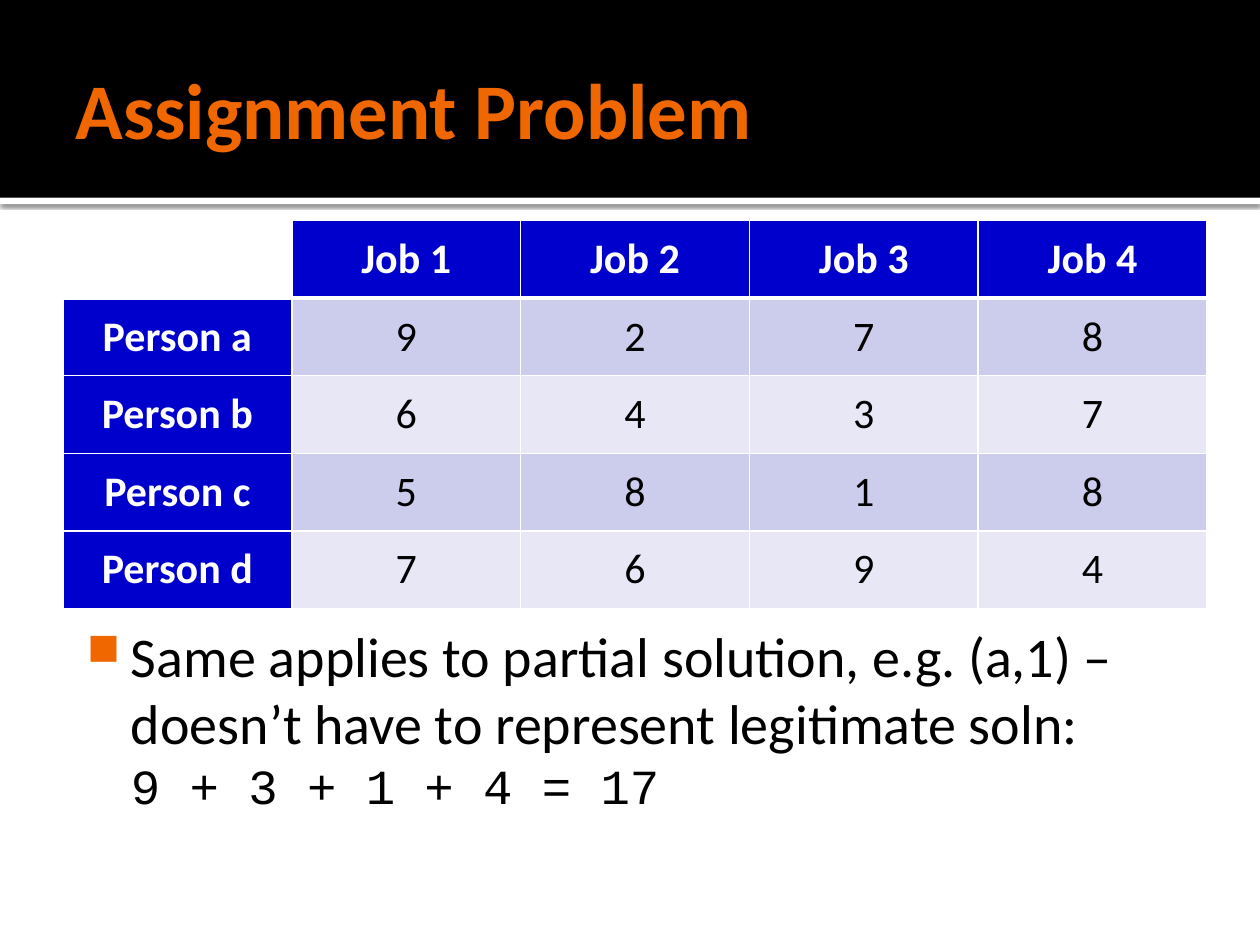
"""Build the Assignment Problem slide with its cost table."""
from lxml.etree import SubElement
from pptx import Presentation
from pptx.dml.color import RGBColor
from pptx.enum.shapes import MSO_SHAPE
from pptx.enum.text import MSO_ANCHOR, PP_ALIGN
from pptx.oxml import parse_xml
from pptx.oxml.ns import nsdecls, qn
from pptx.util import Inches, Pt

COLORS = {
    "black": "000000", "white": "FFFFFF", "orange": "F06700",
    "blue": "0000CC", "dark band": "CCCCEC", "light band": "E7E7F6",
}
COSTS = [
    ["", "Job 1", "Job 2", "Job 3", "Job 4"],
    ["Person a", 9, 2, 7, 8],
    ["Person b", 6, 4, 3, 7],
    ["Person c", 5, 8, 1, 8],
    ["Person d", 7, 6, 9, 4],
]


def style_font(font, color, **values):
    font.color.rgb = RGBColor.from_string(COLORS[color])
    for name, value in values.items():
        setattr(font, name, value)


def add_text_box(page, bounds, margins, anchor):
    frame = page.shapes.add_textbox(*map(Inches, bounds)).text_frame
    frame.word_wrap = True
    frame.vertical_anchor = anchor
    for side, margin in zip(("left", "top", "right", "bottom"), margins):
        setattr(frame, f"margin_{side}", Inches(margin))
    return frame.paragraphs[0]


deck = Presentation()
deck.slide_width, deck.slide_height = Inches(10), Inches(7.5)
page = deck.slides.add_slide(deck.slide_layouts[6])

for top, height, color in [(1.57, 0.05, "white"), (0, 1.57, "black")]:
    band = page.shapes.add_shape(
        MSO_SHAPE.RECTANGLE, 0, Inches(top), Inches(10), Inches(height))
    band.fill.solid()
    band.fill.fore_color.rgb = RGBColor.from_string(COLORS[color])
    band.line.fill.background()
    band.shadow.inherit = False
    if color == "white":
        effects = band.element.spPr.find(qn("a:effectLst"))
        effects.append(parse_xml(
            f'<a:outerShdw {nsdecls("a")} blurRad="{Pt(2.5)}" dist="{Pt(0.8)}" '
            'dir="5400000" algn="tl" rotWithShape="0"><a:srgbClr val="000000">'
            '<a:alpha val="60000"/></a:srgbClr></a:outerShdw>'))

para = add_text_box(page, (0.5, 0.17, 9, 1.37), (0.1, 0.05, 0.05, 0.05),
                    MSO_ANCHOR.MIDDLE)
span = para.add_run()
span.text = "Assignment Problem"
style_font(span.font, "orange", name="Calibri", size=Pt(45), bold=True)

para = add_text_box(page, (0.5, 4.83, 9, 2.5), (0.06, 0.1, 0.1, 0.05),
                    MSO_ANCHOR.TOP)
settings = para._p.get_or_add_pPr()
settings.set("marL", str(Inches(0.48)))
settings.set("indent", str(Inches(-0.35)))
bullet_color = SubElement(settings, qn("a:buClr"))
SubElement(bullet_color, qn("a:srgbClr"), val=COLORS["orange"])
SubElement(settings, qn("a:buSzPct"), val="80000")
SubElement(settings, qn("a:buChar"), char="■")
span = para.add_run()
span.text = ("Same applies to partial solution, e.g. (a,1) – "
             "doesn’t have to represent legitimate soln:")
style_font(span.font, "black", name="Calibri", size=Pt(32))
para.add_line_break()
span = para.add_run()
span.text = "9 + 3 + 1 + 4 = 17"
style_font(span.font, "black", name="Courier New", size=Pt(28))

table_shape = page.shapes.add_table(
    5, 5, Inches(0.5), Inches(1.75), Inches(9.08), Inches(3.08))
table = table_shape.table
for column in table.columns:
    column.width = Inches(9.08 / 5)
for row in table.rows:
    row.height = Inches(3.08 / 5)

for row_index, values in enumerate(COSTS):
    for column_index, value in enumerate(values):
        cell = table.cell(row_index, column_index)
        heading = row_index == 0 or column_index == 0
        for side in "LRTB":
            thick = (row_index, side) in [(0, "B"), (1, "T")]
            border = SubElement(cell._tc.get_or_add_tcPr(), qn(f"a:ln{side}"),
                                w=str(Pt(3 if thick else 1)))
            paint = SubElement(border, qn("a:solidFill"))
            SubElement(paint, qn("a:srgbClr"), val=COLORS["white"])
        cell.vertical_anchor = MSO_ANCHOR.MIDDLE
        if value == "":
            cell.fill.background()
            continue
        band_color = "dark band" if row_index % 2 else "light band"
        cell.fill.solid()
        cell.fill.fore_color.rgb = RGBColor.from_string(
            COLORS["blue" if heading else band_color])
        para = cell.text_frame.paragraphs[0]
        para.alignment = PP_ALIGN.CENTER
        span = para.add_run()
        span.text = str(value)
        style_font(span.font, "white" if heading else "black",
                   name="Calibri", size=Pt(24), bold=heading)

deck.save("out.pptx")
